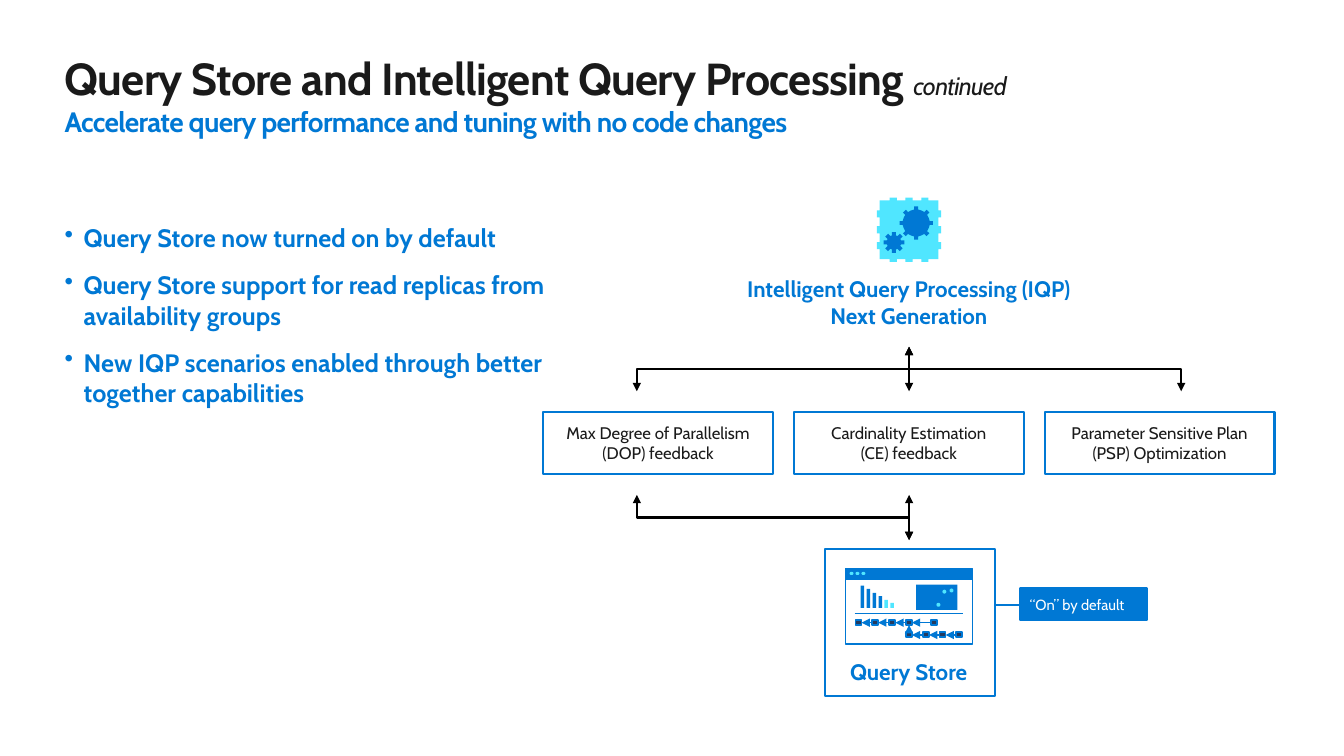
"""Build the slide on Query Store and Intelligent Query Processing."""
import math
from dataclasses import dataclass

from lxml import etree
from pptx import Presentation
from pptx import util as u
from pptx.dml.color import RGBColor
from pptx.enum import shapes, text
from pptx.oxml import ns


@dataclass(frozen=True)
class Theme:
    font: str = "Cabin"
    ink: RGBColor = RGBColor(0x1A, 0x1A, 0x1A)
    blue: RGBColor = RGBColor(0x00, 0x78, 0xD4)
    cyan: RGBColor = RGBColor(0x50, 0xE6, 0xFF)
    navy: RGBColor = RGBColor(0x24, 0x3A, 0x5E)
    white: RGBColor = RGBColor(0xFF, 0xFF, 0xFF)
    black: RGBColor = RGBColor(0x00, 0x00, 0x00)
    title: u.Pt = u.Pt(32)
    subtitle: u.Pt = u.Pt(20)
    body: u.Pt = u.Pt(18)
    label: u.Pt = u.Pt(16)
    box: u.Pt = u.Pt(12)
    callout: u.Pt = u.Pt(10.5)


theme = Theme()
RECTANGLE = shapes.MSO_SHAPE.RECTANGLE
OVAL = shapes.MSO_SHAPE.OVAL
CENTER = text.PP_ALIGN.CENTER
LEFT = text.PP_ALIGN.LEFT

presentation = Presentation()
presentation.slide_width, presentation.slide_height = u.Cm(33.87), u.Cm(19.05)
slide = presentation.slides.add_slide(presentation.slide_layouts[5])


def add_box(kind, left, top, width, height, fill=None, line=None, weight=1.5):
    """Add a preset shape, sized in centimetres."""
    shape = slide.shapes.add_shape(kind, u.Cm(left), u.Cm(top), u.Cm(width), u.Cm(height))
    shape.shadow.inherit = False
    for paint, color in ((shape.fill, fill), (shape.line.fill, line)):
        if color is None:
            paint.background()
        else:
            paint.solid()
            paint.fore_color.rgb = color
    if line is not None:
        shape.line.width = u.Pt(weight)
    return shape


def add_line(x1, y1, x2, y2, color, weight, ends=(), elbow=False):
    """Add a connector; an elbow leaves its start vertically."""
    kind = shapes.MSO_CONNECTOR.STRAIGHT
    if elbow:
        kind = shapes.MSO_CONNECTOR.ELBOW
        middle_x, middle_y = (x1 + x2) / 2, (y1 + y2) / 2
        half_x, half_y = (y2 - y1) / 2, (x1 - x2) / 2
        x1, x2 = middle_x - half_x, middle_x + half_x
        y1, y2 = middle_y - half_y, middle_y + half_y
    connector = slide.shapes.add_connector(kind, u.Cm(x1), u.Cm(y1), u.Cm(x2), u.Cm(y2))
    connector.line.color.rgb = color
    connector.line.width = u.Pt(weight)
    properties = connector.element.spPr
    if elbow:
        properties.find(ns.qn("a:xfrm")).set("rot", "5400000")
    outline = properties.find(ns.qn("a:ln"))
    for end in ends:
        etree.SubElement(outline, ns.qn(f"a:{end}"), type="triangle")
    etree.SubElement(properties, ns.qn("a:effectLst"))


title = slide.shapes.title
title.left, title.top, title.width, title.height = u.Cm(1.63), u.Cm(1.27), u.Cm(30.61), u.Cm(2.24)
frame = title.text_frame
frame.margin_left = frame.margin_top = frame.margin_right = frame.margin_bottom = 0
frame.vertical_anchor = text.MSO_ANCHOR.TOP
frame.auto_size = text.MSO_AUTO_SIZE.NONE
frame.word_wrap = True
paragraph = frame.paragraphs[0]
paragraph.alignment = LEFT
for words, size, color, bold in (
    ("Query Store and Intelligent Query Processing ", theme.title, theme.ink, True),
    ("continued", theme.body, theme.ink, False),
    ("Accelerate query performance and tuning with no code changes", theme.subtitle, theme.blue, True),
):
    if size == theme.subtitle:
        paragraph.add_line_break()
    run = paragraph.add_run()
    run.text = words
    run.font.name, run.font.size, run.font.bold, run.font.italic = theme.font, size, bold, not bold
    run.font.color.rgb = color
    run.font._element.set("spc", "-50")

add_box(RECTANGLE, 20.8, 13.84, 4.27, 3.71, line=theme.blue)
add_box(RECTANGLE, 21.31, 14.53, 3.2, 1.7, line=theme.blue, weight=1)
add_box(RECTANGLE, 21.31, 14.33, 3.2, 0.28, theme.blue, theme.blue, 1)
for index in range(3):
    add_box(OVAL, 21.41 + 0.15 * index, 14.41, 0.1, 0.08, theme.cyan)
for index, height in enumerate((0.56, 0.48, 0.38, 0.3, 0.2, 0.13)):
    add_box(RECTANGLE, 21.69 + 0.15 * index, 15.32 - height, 0.09, height,
            theme.blue if index < 4 else theme.cyan)
add_box(RECTANGLE, 23.09, 14.73, 1.04, 0.64, theme.blue)
for left, top in ((23.6, 15.19), (23.75, 14.86), (23.93, 14.83)):
    add_box(OVAL, left, top, 0.1, 0.1, theme.cyan)
add_line(21.54, 15.47, 24.26, 15.47, theme.blue, 0.75)
for top, lefts in ((15.62, (21.56, 21.98, 22.41, 22.83, 23.47)),
                   (15.93, (22.83, 23.26, 23.68, 24.1))):
    for left in lefts:
        add_box(RECTANGLE, left, top, 0.15, 0.13, theme.navy, theme.blue, 1.25)
    for target, source in zip(lefts, lefts[1:]):
        add_line(source, top + 0.07, target + 0.15, top + 0.07, theme.blue, 1, ["tailEnd"])
add_line(22.91, 15.93, 22.91, 15.75, theme.blue, 1, ["tailEnd"])

chip = []
for turn in range(4):
    cosine, sine = math.cos(turn * math.pi / 2), math.sin(turn * math.pi / 2)
    side = [(-0.74, -0.74)]
    for pin in (-0.4, 0, 0.4):
        side += [(pin - 0.09, -0.74), (pin - 0.09, -0.81), (pin + 0.09, -0.81), (pin + 0.09, -0.74)]
    chip += [(22.91 + x * cosine - y * sine, 5.79 + x * sine + y * cosine) for x, y in side]
outlines = [(chip, theme.cyan)]
for center_x, center_y, outer, inner in ((23.09, 5.62, 0.42, 0.34), (22.53, 6.11, 0.26, 0.18)):
    gear = []
    for tooth in range(8):
        angle = tooth * math.pi / 4
        for radius, offset in ((inner, -0.05), (outer, -0.05), (outer, 0.05), (inner, 0.05)):
            gear.append((center_x + radius * math.cos(angle) - offset * math.sin(angle),
                         center_y + radius * math.sin(angle) + offset * math.cos(angle)))
        middle = angle + math.pi / 8
        gear.append((center_x + inner * math.cos(middle), center_y + inner * math.sin(middle)))
    outlines.append((gear, theme.blue))
for points, color in outlines:
    corners = [(u.Cm(x), u.Cm(y)) for x, y in points]
    builder = slide.shapes.build_freeform(*corners[0])
    builder.add_line_segments(corners[1:])
    shape = builder.convert_to_shape()
    shape.shadow.inherit = False
    shape.fill.solid()
    shape.fill.fore_color.rgb = color
    shape.line.fill.background()

both = ("headEnd", "tailEnd")
for start_x, start_y, end_y, elbow in (
    (16.05, 9.86, 8.74, True),
    (29.77, 9.86, 8.74, True),
    (22.91, 8.74, 9.86, False),
    (16.05, 12.47, 13.61, True),
    (22.91, 13.61, 12.47, False),
):
    add_line(start_x, start_y, 22.91, end_y, theme.black, 1.5, both, elbow)
add_line(25.7, 15.24, 25.07, 15.24, theme.blue, 1.5)

boxes = [
    (13.69 + 6.32 * index, 10.39, 5.79, 1.55, words, theme.box, theme.white, theme.ink, CENTER)
    for index, words in enumerate((
        "Max Degree of Parallelism (DOP) feedback",
        "Cardinality Estimation\v(CE) feedback",
        "Parameter Sensitive Plan (PSP) Optimization",
    ))
]
boxes.append((25.7, 14.83, 3.2, 0.79, "“On” by default", theme.callout, theme.blue, theme.white, LEFT))
for left, top, width, height, words, size, fill, color, alignment in boxes:
    frame = add_box(RECTANGLE, left, top, width, height, fill, theme.blue).text_frame
    frame.word_wrap = True
    frame.vertical_anchor = text.MSO_ANCHOR.MIDDLE
    frame.margin_left = frame.margin_top = frame.margin_right = frame.margin_bottom = u.Cm(0.25)
    paragraph = frame.paragraphs[0]
    paragraph.text = words
    paragraph.alignment = alignment
    paragraph.font.name, paragraph.font.size = theme.font, size
    paragraph.font.color.rgb = color

for left, top, width, height, size, bulleted, lines in (
    (20.32, 16.59, 5.16, 0.69, theme.label, False, ["Query Store"]),
    (17.7, 6.93, 10.41, 1.37, theme.label, False,
     ["Intelligent Query Processing (IQP)", "Next Generation"]),
    (1.63, 5.61, 12.14, 4.7, theme.body, True,
     ["Query Store now turned on by default",
      "Query Store support for read replicas from availability groups",
      "New IQP scenarios enabled through better together capabilities"]),
):
    frame = slide.shapes.add_textbox(u.Cm(left), u.Cm(top), u.Cm(width), u.Cm(height)).text_frame
    frame.word_wrap = True
    frame.margin_left = frame.margin_top = frame.margin_right = frame.margin_bottom = 0
    frame.text = "\n".join(lines)
    for index, paragraph in enumerate(frame.paragraphs):
        paragraph.alignment = LEFT if bulleted else CENTER
        if bulleted:
            paragraph.space_before = u.Pt(12 if index else 0)
            properties = paragraph._p.get_or_add_pPr()
            properties.set("marL", str(u.Cm(0.48)))
            properties.set("indent", str(-u.Cm(0.48)))
            etree.SubElement(properties, ns.qn("a:buChar"), char="•")
        paragraph.font.name, paragraph.font.size, paragraph.font.bold = theme.font, size, True
        paragraph.font.color.rgb = theme.blue

presentation.save("out.pptx")
